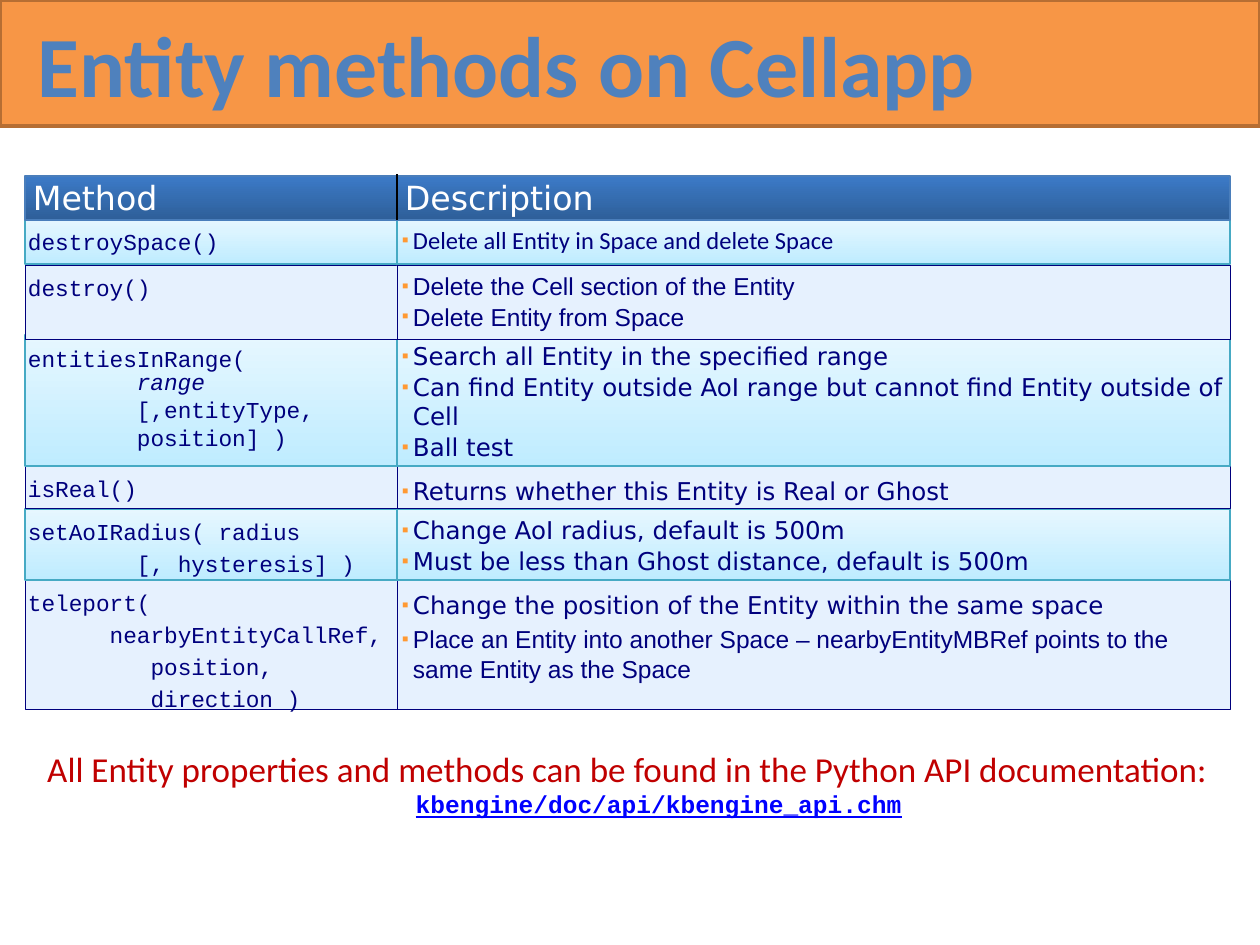
from copy import deepcopy

from lxml.etree import SubElement
from pptx import Presentation
from pptx.dml.color import RGBColor
from pptx.enum.shapes import MSO_CONNECTOR, MSO_SHAPE
from pptx.enum.text import MSO_ANCHOR, PP_ALIGN
from pptx.oxml.ns import qn
from pptx.util import Pt

SCALE = 914400 / 126
COLOURS = {
    "banner": "F79646", "banner_line": "B66E33", "title": "4F81BD",
    "header_low": "2E5F99", "header_high": "3C7AC7", "header_line": "4A7EBB",
    "glow_low": "BFECFF", "glow_high": "E6F7FF", "glow_line": "46AAC4",
    "plain": "E6F1FE", "navy": "00007D", "bullet": "FF9933",
    "white": "FFFFFF", "black": "000000", "note": "C00000", "link": "0000FF",
}
STYLES = {
    "header": (("header_low", "header_high"), "header_line", 0.75),
    "glow": (("glow_low", "glow_high"), "glow_line", 0.75),
    "plain": (("plain",), "navy", 0.25),
    "banner": (("banner",), "banner_line", 2),
}
ROWS = [
    dict(top=219, height=45, style="glow", method=["destroySpace()"],
         points=[("Delete all Entity in Space and delete Space", "Calibri")]),
    dict(top=265, height=74, style="plain", method=["destroy()"],
         points=[("Delete the Cell section of the Entity", "Arial"),
                 ("Delete Entity from Space", "Arial")]),
    dict(top=335, height=131, style="glow", method_inset=10, spacing=0.85,
         method=[[("entitiesInRange(\n        ", {}), ("range", {"italic": True})],
                 "        [,entityType,", "        position] )"],
         points=[("Search all Entity in the specified range", "DejaVu Sans"),
                 ("Can find Entity outside AoI range but cannot find Entity outside of Cell",
                  "DejaVu Sans"),
                 ("Ball test", "DejaVu Sans")]),
    dict(top=466, height=42, style="plain", method=["isReal()"], gap=2.8,
         points=[("Returns whether this Entity is Real or Ghost", "DejaVu Sans")]),
    dict(top=509, height=71, style="glow",
         method=["setAoIRadius( radius", "        [, hysteresis] )"],
         points=[("Change AoI radius, default is 500m", "DejaVu Sans"),
                 ("Must be less than Ghost distance, default is 500m", "DejaVu Sans")]),
    dict(top=580, height=129, style="plain", gap=2.8,
         method=["teleport(", "      nearbyEntityCallRef,",
                 "         position,", "         direction )"],
         points=[("Change the position of the Entity within the same space", "DejaVu Sans"),
                 ("Place an Entity into another Space – nearbyEntityMBRef points to the "
                  "same Entity as the Space", "Arial")]),
]


def px(length):
    """Turn px into EMU."""
    return round(length * SCALE)


def rgb(name):
    """Look up a named colour."""
    return RGBColor.from_string(COLOURS[name])


def add_bullet(paragraph, indent):
    """Give a paragraph a small square bullet with a hanging indent."""
    properties = paragraph._p.get_or_add_pPr()
    properties.set("marL", str(px(indent)))
    properties.set("indent", str(-px(indent)))
    colour = SubElement(properties, qn("a:buClr"))
    SubElement(colour, qn("a:srgbClr"), val=COLOURS["bullet"])
    SubElement(properties, qn("a:buSzPct"), val="80000")
    SubElement(properties, qn("a:buFont"), typeface="Arial")
    SubElement(properties, qn("a:buChar"), char="▪")


def add_span(paragraph, text, font, size, colour, bold=False, italic=False, underline=False):
    """Add formatted text, with line breaks of the same format."""
    for number, line in enumerate(text.split("\n")):
        if number:
            paragraph.add_line_break()
            paragraph._p[-1].insert(0, deepcopy(span.font._rPr))
        span = paragraph.add_run()
        span.text = line
        span.font.name, span.font.size = font, Pt(size)
        span.font.bold, span.font.italic, span.font.underline = bold, italic, underline
        span.font.color.rgb = rgb(colour)


def write(shape, paragraphs, inset, align=PP_ALIGN.LEFT, anchor=MSO_ANCHOR.TOP,
          before=0, spacing=None, bullet=0, **style):
    """Fill a shape with paragraphs, each a string or a list of (text, format) spans."""
    frame = shape.text_frame
    frame.word_wrap, frame.vertical_anchor = True, anchor
    (frame.margin_left, frame.margin_top,
     frame.margin_right, frame.margin_bottom) = map(px, inset)
    for number, spans in enumerate(paragraphs):
        paragraph = frame.add_paragraph() if number else frame.paragraphs[0]
        paragraph.alignment = align
        paragraph.space_before = Pt(before if number else 0)
        if spacing:
            paragraph.line_spacing = spacing
        if bullet:
            add_bullet(paragraph, bullet)
        for text, changes in [(spans, {})] if isinstance(spans, str) else spans:
            add_span(paragraph, text, **{**style, **changes})


def add_cell(page, box, style):
    """Add a rectangle in one of the named styles."""
    fills, line, width = STYLES[style]
    cell = page.shapes.add_shape(MSO_SHAPE.RECTANGLE, *map(px, box))
    cell.shadow.inherit = False
    if len(fills) == 2:
        cell.fill.gradient()
        cell.fill.gradient_angle = 90
        for stop, name in zip(cell.fill.gradient_stops, fills):
            stop.color.rgb = rgb(name)
    else:
        cell.fill.solid()
        cell.fill.fore_color.rgb = rgb(fills[0])
    cell.line.color.rgb, cell.line.width = rgb(line), Pt(width)
    return cell


def add_title(page, box, text):
    """Place the title over a full-width banner."""
    left, top, width, height = box
    banner = add_cell(page, box, "banner")
    page.shapes._spTree.insert(2, banner._element)
    title = page.shapes.title
    title.left, title.top, title.width, title.height = map(
        px, (left + 25, top + 18, width - 40, 90))
    write(title, [text], (13, 6, 13, 6), anchor=MSO_ANCHOR.MIDDLE,
          font="Calibri", size=49, colour="title", bold=True)


def add_row(page, box, split, style, method, points, method_inset=5, spacing=None, gap=0.7):
    """Place a method cell and its bulleted description side by side."""
    left, top, width, height = box
    name_cell = add_cell(page, (left, top, split, height), style)
    write(name_cell, method, (3, method_inset + 4, 0, 0), before=2.6, spacing=spacing,
          font="Courier New", size=13, colour="navy")
    description = add_cell(page, (left + split, top, width - split, height), style)
    write(description, [[(text, {"font": font})] for text, font in points],
          (5, 5 + round(gap * 1.75), 0, 0), before=gap, bullet=11, size=14, colour="navy")


def add_header(page, box, split):
    """Place the two column headings and the line between them."""
    left, top, width, height = box
    middle = left + split
    for text, start, span in (("Method", left, split), ("Description", middle, width - split)):
        cell = add_cell(page, (start, top, span, height), "header")
        write(cell, [text], (8, 1, 0, 1), font="DejaVu Sans", size=19, colour="white")
    divider = page.shapes.add_connector(
        MSO_CONNECTOR.STRAIGHT, *map(px, (middle, top + height, middle, top - 2)))
    divider.line.color.rgb, divider.line.width = rgb("black"), Pt(1.5)
    SubElement(divider._element.spPr, qn("a:effectLst"))


def add_methods(page, left, top, width, split):
    """Place the grid of methods, from the last row up to the header."""
    for row in reversed(ROWS):
        details = {key: value for key, value in row.items() if key not in ("top", "height")}
        add_row(page, (left, row["top"], width, row["height"]), split, **details)
    add_header(page, (left, top, width, 44), split)


def add_note(page, box):
    """Place the closing note with the documentation file."""
    note = page.shapes.add_textbox(*map(px, box))
    file_format = dict(font="Courier New", size=14, colour="link", bold=True, underline=True)
    write(note, ["All Entity properties and methods can be found in the Python API documentation:",
                 [("kbengine/doc/api/kbengine_api.chm", file_format)]],
          (13, 13, 13, 6), align=PP_ALIGN.CENTER, before=2.8, spacing=0.8,
          font="Calibri", size=20, colour="note")
    note.text_frame.paragraphs[1]._p.get_or_add_pPr().set("marL", str(px(63)))


def main():
    """Build the deck."""
    deck = Presentation()
    deck.slide_width, deck.slide_height = px(1260), px(945)
    page = deck.slides.add_slide(deck.slide_layouts[5])
    add_title(page, (0, 0, 1260, 126), "Entity methods on Cellapp")
    add_note(page, (25, 743, 1205, 149))
    add_methods(page, 25, 176, 1205, 372)
    deck.save("out.pptx")


if __name__ == "__main__":
    main()
